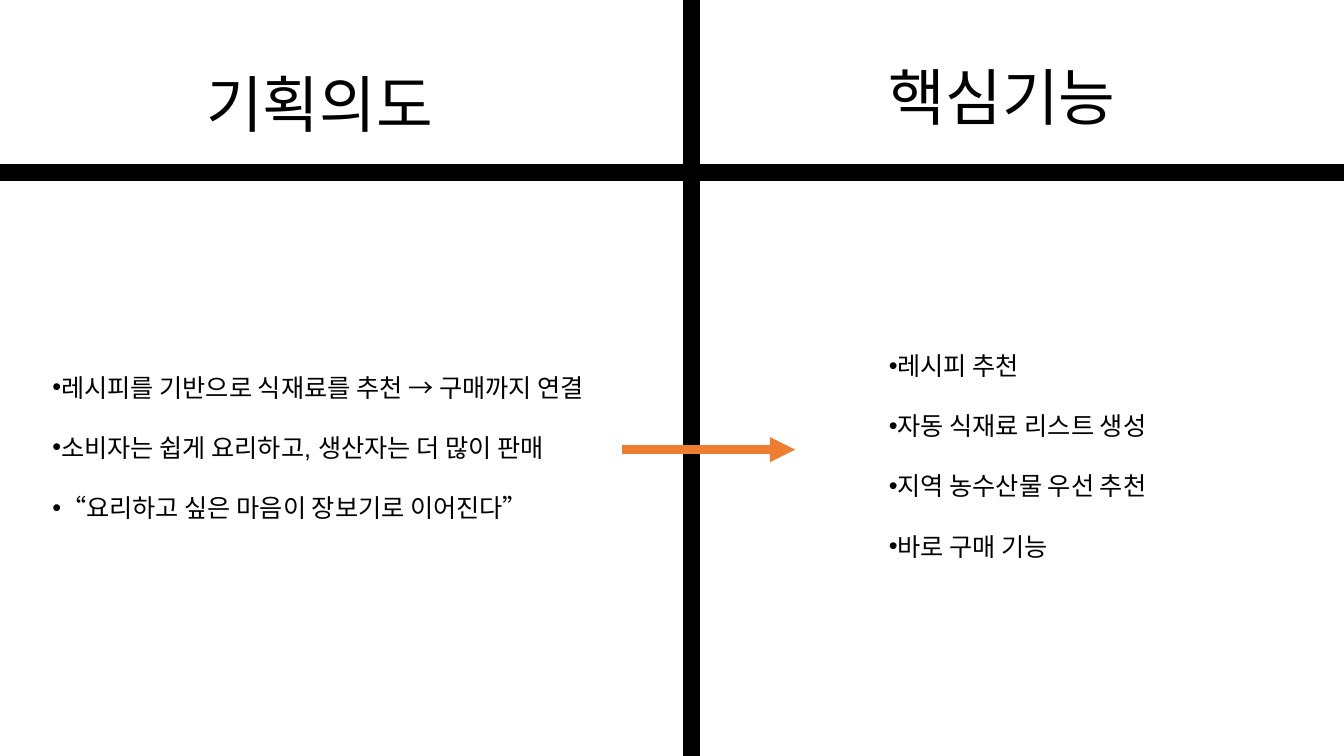
"""Build a slide linking the planning intent to the core features."""
from dataclasses import dataclass

from lxml import etree
from pptx import Presentation
from pptx.dml.color import RGBColor
from pptx.enum import shapes, text
from pptx.oxml import ns
from pptx.util import Cm, Pt


@dataclass(frozen=True)
class Theme:
    black: RGBColor = RGBColor(0x00, 0x00, 0x00)
    orange: RGBColor = RGBColor(0xED, 0x7D, 0x31)
    korean: str = "Noto Sans CJK KR"
    latin: str = "Arial"
    title: Pt = Pt(44)
    body: Pt = Pt(18)
    pitch: Pt = Pt(21.5)


theme = Theme()


def add_text(s, box, lines, font, size, anchor):
    tf = s.shapes.add_textbox(*(Cm(v) for v in box)).text_frame
    tf.word_wrap = True
    tf.vertical_anchor = anchor
    tf.text = "\n".join(lines)
    for p in tf.paragraphs:
        r = p.runs[0]
        r.font.name = font
        r.font.size = size
        r.font.color.rgb = theme.black
        etree.SubElement(r.font._element, ns.qn("a:ea"), typeface=theme.korean)
    return tf


prs = Presentation()
prs.slide_width, prs.slide_height = Cm(33.87), Cm(19.05)
s = prs.slides.add_slide(prs.slide_layouts[6])

columns = [
    ("기획의도", (4.95, 0.86, 6.96, 3.68), (1.07, 9.25, 15.44, 4.88), [
        "레시피를 기반으로 식재료를 추천 → 구매까지 연결",
        "소비자는 쉽게 요리하고, 생산자는 더 많이 판매",
        "“요리하고 싶은 마음이 장보기로 이어진다”",
    ]),
    ("핵심기능", (22.15, 0.69, 7.85, 3.68), (22.15, 8.71, 7.85, 6.4), [
        "레시피 추천",
        "자동 식재료 리스트 생성",
        "지역 농수산물 우선 추천",
        "바로 구매 기능",
    ]),
]
for title, title_box, list_box, items in columns:
    tf = add_text(s, title_box, [title], theme.korean, theme.title, text.MSO_ANCHOR.MIDDLE)
    tf.paragraphs[0].line_spacing = 0.9
    tf = add_text(s, list_box, items, theme.latin, theme.body, text.MSO_ANCHOR.TOP)
    for p in tf.paragraphs:
        p.line_spacing = theme.pitch
        p.space_after = theme.pitch
        pPr = p._p.get_or_add_pPr()
        etree.SubElement(pPr, ns.qn("a:buFont"), typeface=theme.latin)
        etree.SubElement(pPr, ns.qn("a:buChar"), char="•")

for bar in [(17.22, 0, 0.41, 19.05), (0, 4.14, 33.87, 0.41)]:
    sp = s.shapes.add_shape(shapes.MSO_SHAPE.RECTANGLE, *(Cm(v) for v in bar))
    sp.shadow.inherit = False
    sp.fill.solid()
    sp.fill.fore_color.rgb = theme.black
    sp.line.color.rgb = theme.black
    sp.line.width = Pt(1)

arrow = s.shapes.add_connector(
    shapes.MSO_CONNECTOR.STRAIGHT, Cm(15.67), Cm(11.33), Cm(20.04), Cm(11.33))
arrow.line.color.rgb = theme.orange
arrow.line.width = Pt(6)
etree.SubElement(arrow.line._get_or_add_ln(), ns.qn("a:tailEnd"), type="triangle")
etree.SubElement(arrow._element.spPr, ns.qn("a:effectLst"))

prs.save("out.pptx")
